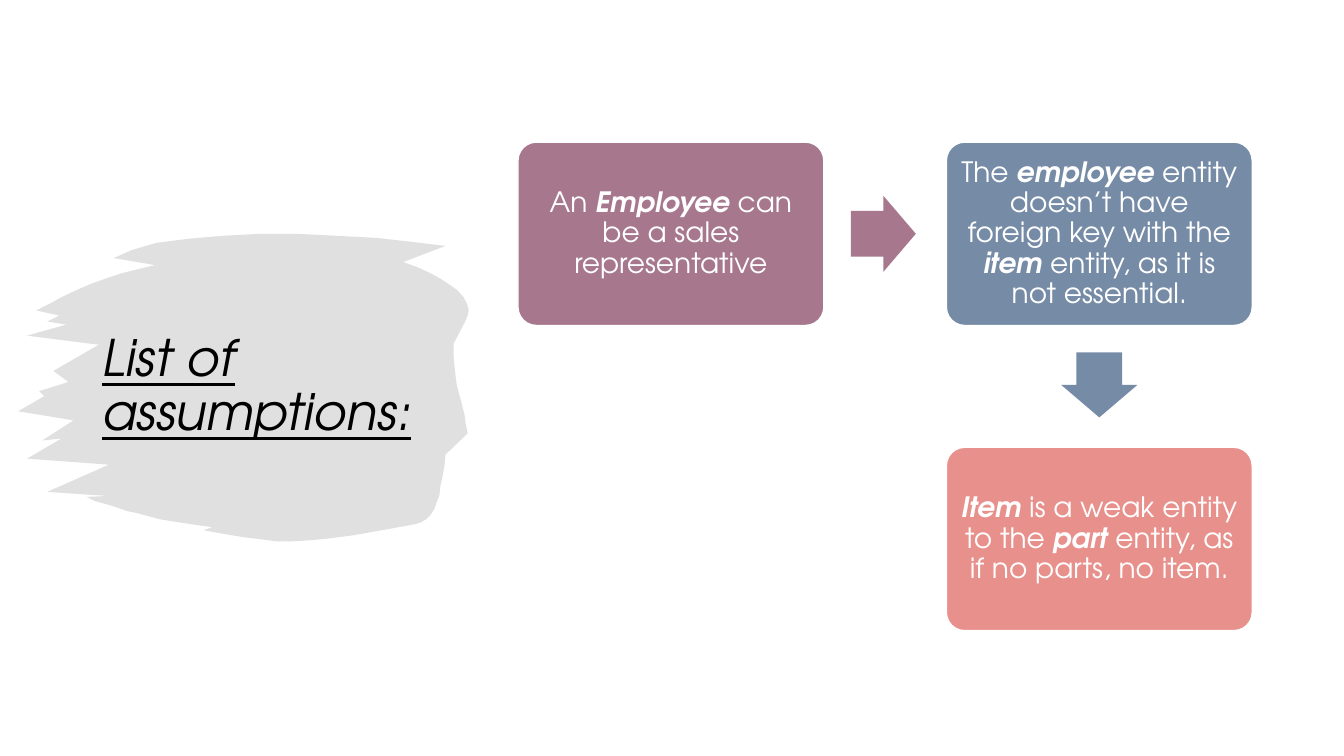
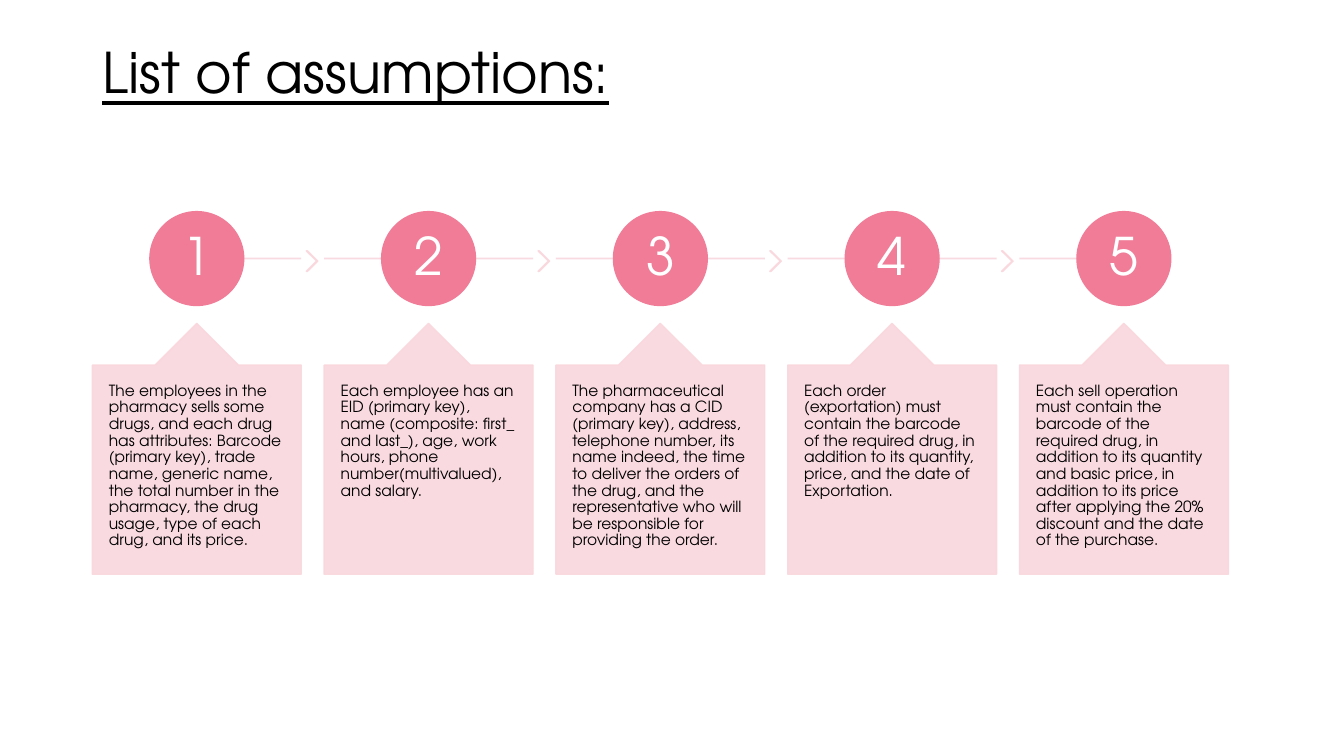
from itertools import chain
from lxml.etree import SubElement
from pptx import Presentation
from pptx.dml.color import RGBColor
from pptx.enum.shapes import MSO_CONNECTOR, MSO_SHAPE
from pptx.enum.text import MSO_ANCHOR, PP_ALIGN
from pptx.oxml.ns import qn
from pptx.util import Pt

TITLE = "List of assumptions:"

ENTITY_STEPS = [
    {"column": 0, "row": 0, "color": "mauve", "runs": [
        ("An ", False), ("Employee", True), (" can be a sales representative", False)]},
    {"column": 1, "row": 0, "color": "blue", "runs": [
        ("The ", False), ("employee", True), (" entity doesn’t have foreign key with the ", False),
        ("item", True), (" entity, as it is not essential.", False)]},
    {"column": 1, "row": 1, "color": "coral", "runs": [
        ("Item ", True), ("is a weak entity to the ", False),
        ("part ", True), ("entity, as if no parts, no item.", False)]},
]

ASSUMPTIONS = [
    "The employees in the pharmacy sells some drugs, and each drug has attributes: Barcode (primary key), "
    "trade name, generic name, the total number in the pharmacy, the drug usage, type of each drug, and its price.",
    "Each employee has an EID (primary key), name (composite: first_ and last_), age, work hours, "
    "phone number(multivalued), and salary.",
    "The pharmaceutical company has a CID (primary key), address, telephone number, its name indeed, the time "
    "to deliver the orders of the drug, and the representative who will be responsible for providing the order.",
    "Each order (exportation) must contain the barcode of the required drug, in addition to its quantity, "
    "price, and the date of Exportation.",
    "Each sell operation must contain the barcode of the required drug, in addition to its quantity and basic "
    "price, in addition to its price after applying the 20% discount and the date of the purchase.",
]

FONT = "TeX Gyre Adventor"
BLACK = RGBColor(0x00, 0x00, 0x00)
WHITE = RGBColor(0xFF, 0xFF, 0xFF)
GREY = RGBColor(0xD9, 0xD9, 0xD9)
PINK = RGBColor(0xF0, 0x7C, 0x98)
PALE_PINK = RGBColor(0xF9, 0xD7, 0xDD)
STEP_COLORS = {
    "mauve": RGBColor(0xA6, 0x77, 0x8D),
    "blue": RGBColor(0x76, 0x8B, 0xA6),
    "coral": RGBColor(0xE8, 0x90, 0x8B),
}

MARGIN = 66
GRID_LEFT, GRID_TOP = 370, 101.5
GRID_PITCH_X, GRID_PITCH_Y = 306, 218
BOX_WIDTH, BOX_HEIGHT = 218.5, 131
ARROW_LENGTH, ARROW_BREADTH, ARROW_GAP = 46.4, 54.4, 19.25

COLUMN_WIDTH, COLUMN_PITCH = 149.2, 165.55
CIRCLE_SIZE, CIRCLE_TOP = 67, 151.2
CALLOUT_TOP, CALLOUT_HEIGHT = 231, 179.2
CHEVRON_WIDTH, CHEVRON_HEIGHT = 8.2, 14.6
CHEVRON_GAP, CHEVRON_DROP = 3.6, 1.8

BRUSH_UNIT = Pt(0.72)
CURVE_STEPS = 10
BRUSH_TOP = [(113, 256), (160, 225), (340, 228), (442, 244)]
BRUSH_SHOULDER = [(400, 260), (450, 278), (475, 298), (461, 320)]
BRUSH_WAIST = [(450, 341), (450, 385), (459, 395), (464, 430)]
BRUSH_CORNER = [(442, 451), (437, 490), (434, 516), (412, 520)]
BRUSH_BELLY = [(412, 520), (290, 542), (280, 541), (202, 526)]
BRUSH_UNDERSIDE = [(211, 523), (160, 518), (130, 508), (94, 497)]
BRUSH_UPPER_LEFT = [(36, 308), (55, 298), (95, 275), (154, 263)]
BRISTLE_TIPS = [(86, 493), (47, 488), (27, 455), (42, 437), (18, 408), (39, 388), (53, 368), (27, 333), (47, 319)]
BRISTLE_ROOTS = [(107, 492), (108, 461), (61, 435), (73, 417), (44, 393), (68, 379), (98, 342), (66, 322), (59, 313)]


def sample_curve(start, first_control, second_control, end):
    points = []
    for step in range(CURVE_STEPS + 1):
        t = step / CURVE_STEPS
        weights = ((1 - t) ** 3, 3 * t * (1 - t) ** 2, 3 * t ** 2 * (1 - t), t ** 3)
        corners = (start, first_control, second_control, end)
        points.append(tuple(sum(weight * corner[axis] for weight, corner in zip(weights, corners))
                            for axis in (0, 1)))
    return points


def brush_outline():
    smooth_edges = (BRUSH_TOP, BRUSH_SHOULDER, BRUSH_WAIST, BRUSH_CORNER, BRUSH_BELLY, BRUSH_UNDERSIDE)
    outline = [point for edge in smooth_edges for point in sample_curve(*edge)]
    outline.extend(chain.from_iterable(zip(BRISTLE_TIPS, BRISTLE_ROOTS)))
    return outline + sample_curve(*BRUSH_UPPER_LEFT)


def set_opacity(shape, percent):
    for color in list(shape.element.spPr.iter(qn("a:srgbClr"))):
        SubElement(color, qn("a:alpha")).set("val", str(percent * 1000))


def paint(shape, fill, line=None):
    shape.shadow.inherit = False
    shape.fill.solid()
    shape.fill.fore_color.rgb = fill
    if line is None:
        shape.line.fill.background()
    else:
        shape.line.color.rgb = line
        shape.line.width = Pt(1)


def add_preset(slide, kind, left, top, width, height, fill, line=None, adjustments=()):
    shape = slide.shapes.add_shape(kind, Pt(left), Pt(top), Pt(width), Pt(height))
    for index, value in enumerate(adjustments):
        shape.adjustments[index] = value
    paint(shape, fill, line)
    return shape


def add_centered(slide, kind, center_x, center_y, width, height, fill, line=None, adjustments=()):
    return add_preset(slide, kind, center_x - width / 2, center_y - height / 2, width, height,
                      fill, line, adjustments)


def write(shape, runs, size, color, align=PP_ALIGN.CENTER, anchor=MSO_ANCHOR.MIDDLE, insets=(7.2, 3.6)):
    frame = shape.text_frame
    frame.word_wrap = True
    frame.vertical_anchor = anchor
    frame.margin_left = frame.margin_right = Pt(insets[0])
    frame.margin_top = frame.margin_bottom = Pt(insets[1])
    paragraph = frame.paragraphs[0]
    paragraph.alignment = align
    paragraph.line_spacing = 0.9
    paragraph.font.name = FONT
    paragraph.font.size = Pt(size)
    paragraph.font.color.rgb = color
    for text, emphasized in runs:
        run = paragraph.add_run()
        run.text = text
        if emphasized:
            run.font.bold = run.font.italic = True
    return paragraph


def add_title(slide, top, width, height, size, anchor, italic=False):
    box = slide.shapes.add_textbox(Pt(MARGIN), Pt(top), Pt(width), Pt(height))
    paragraph = write(box, [(TITLE, False)], size, BLACK, PP_ALIGN.LEFT, anchor)
    paragraph.font.underline = True
    paragraph.font.italic = italic


def add_brush(slide):
    first, *others = brush_outline()
    builder = slide.shapes.build_freeform(*first, scale=BRUSH_UNIT)
    builder.add_line_segments(others, close=True)
    brush = builder.convert_to_shape()
    paint(brush, GREY)
    set_opacity(brush, 80)


def box_center(step):
    return (GRID_LEFT + step["column"] * GRID_PITCH_X + BOX_WIDTH / 2,
            GRID_TOP + step["row"] * GRID_PITCH_Y + BOX_HEIGHT / 2)


def add_step_arrow(slide, step, next_step):
    x, y = box_center(step)
    fill = STEP_COLORS[step["color"]]
    reach = ARROW_GAP + ARROW_LENGTH / 2
    if step["row"] == next_step["row"]:
        add_centered(slide, MSO_SHAPE.RIGHT_ARROW, x + BOX_WIDTH / 2 + reach, y,
                     ARROW_LENGTH, ARROW_BREADTH, fill, adjustments=[0.6, 0.5])
    else:
        add_centered(slide, MSO_SHAPE.DOWN_ARROW, x, y + BOX_HEIGHT / 2 + reach,
                     ARROW_BREADTH, ARROW_LENGTH, fill, adjustments=[0.6, 0.5])


def build_entity_slide(slide):
    add_brush(slide)
    add_title(slide, 118, 253.5, 317, 36, MSO_ANCHOR.MIDDLE, italic=True)
    for step in ENTITY_STEPS:
        box = add_centered(slide, MSO_SHAPE.ROUNDED_RECTANGLE, *box_center(step), BOX_WIDTH, BOX_HEIGHT,
                           STEP_COLORS[step["color"]], WHITE, [0.1])
        write(box, step["runs"], 20, WHITE, insets=(5.5, 5.5))
    for step, next_step in zip(ENTITY_STEPS, ENTITY_STEPS[1:]):
        add_step_arrow(slide, step, next_step)


def add_timeline(slide, start, end, y):
    line = slide.shapes.add_connector(MSO_CONNECTOR.STRAIGHT, Pt(start), Pt(y), Pt(end), Pt(y))
    line.line.color.rgb = PALE_PINK
    line.line.width = Pt(1.25)
    SubElement(line.element.spPr, qn("a:effectLst"))
    set_opacity(line, 90)


def add_chevron(slide, left, center_y):
    chevron = add_centered(slide, MSO_SHAPE.CHEVRON, left + CHEVRON_WIDTH / 2, center_y,
                           CHEVRON_WIDTH, CHEVRON_HEIGHT, PALE_PINK, PALE_PINK, [0.9])
    set_opacity(chevron, 90)


def add_number(slide, number, center_x, center_y):
    circle = add_centered(slide, MSO_SHAPE.OVAL, center_x, center_y, CIRCLE_SIZE, CIRCLE_SIZE, PINK, PINK)
    write(circle, [(str(number), False)], 37, WHITE, insets=(2.6, 2.6))


def add_callout(slide, text, left):
    callout = add_preset(slide, MSO_SHAPE.UP_ARROW_CALLOUT, left, CALLOUT_TOP, COLUMN_WIDTH, CALLOUT_HEIGHT,
                         PALE_PINK, PALE_PINK, [0.5, 0.2, 0.2, 1.0])
    set_opacity(callout, 90)
    write(callout, [(text, False)], 11, BLACK, PP_ALIGN.LEFT, MSO_ANCHOR.TOP, (11.75, 12.75))


def build_process_slide(slide):
    add_title(slide, 29, 828, 104, 40, MSO_ANCHOR.TOP)
    line_y = CIRCLE_TOP + CIRCLE_SIZE / 2
    for number, text in enumerate(ASSUMPTIONS, start=1):
        left = MARGIN + (number - 1) * COLUMN_PITCH
        right = left + COLUMN_WIDTH
        center = (left + right) / 2
        is_first, is_last = number == 1, number == len(ASSUMPTIONS)
        add_timeline(slide, center if is_first else left, center if is_last else right, line_y)
        if not is_last:
            add_chevron(slide, right + CHEVRON_GAP, line_y + CHEVRON_DROP)
        add_number(slide, number, center, line_y)
        add_callout(slide, text, left)


def main():
    presentation = Presentation()
    presentation.slide_width = Pt(960)
    presentation.slide_height = Pt(540)
    for build in (build_entity_slide, build_process_slide):
        build(presentation.slides.add_slide(presentation.slide_layouts[6]))
    presentation.save("out.pptx")


if __name__ == "__main__":
    main()
